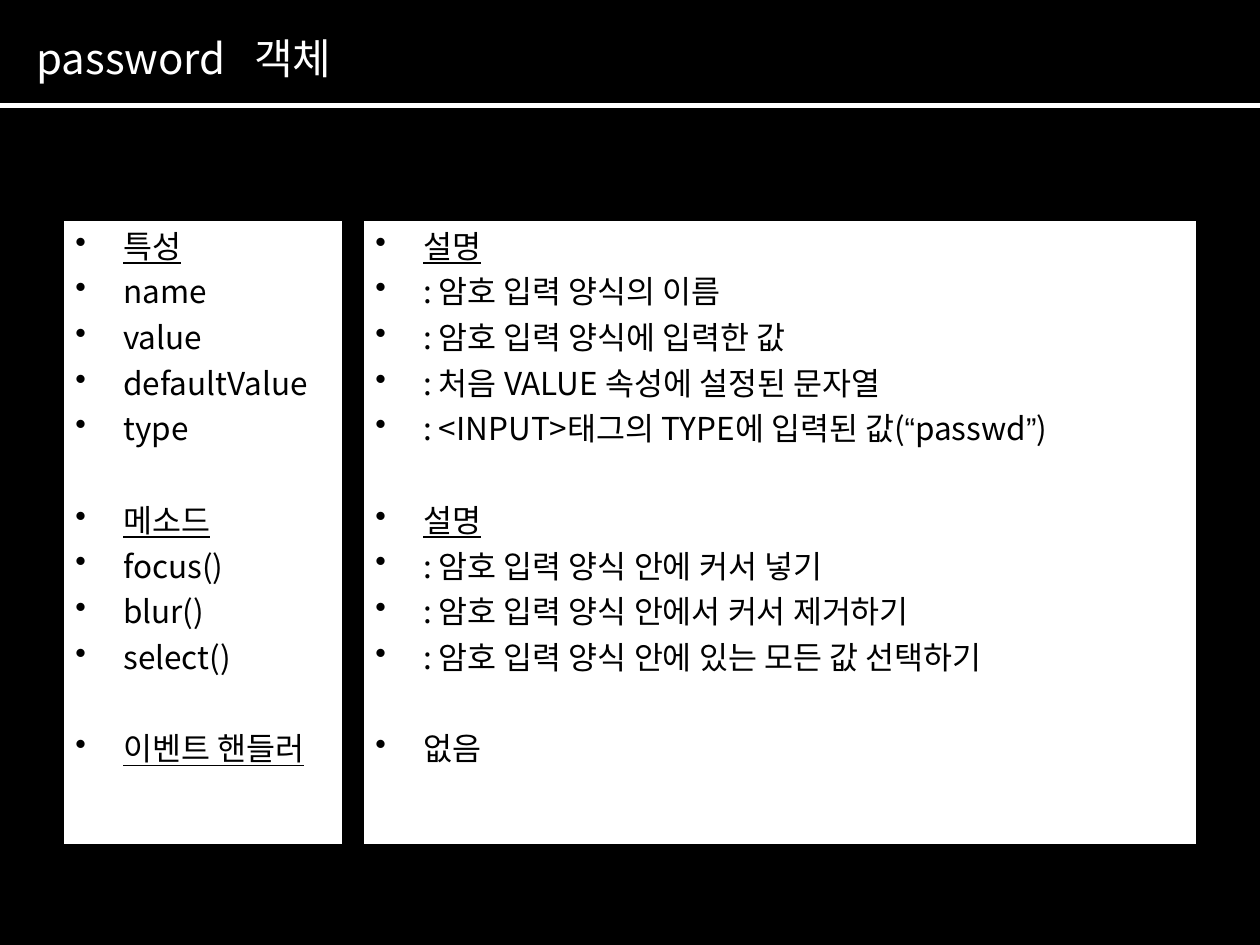
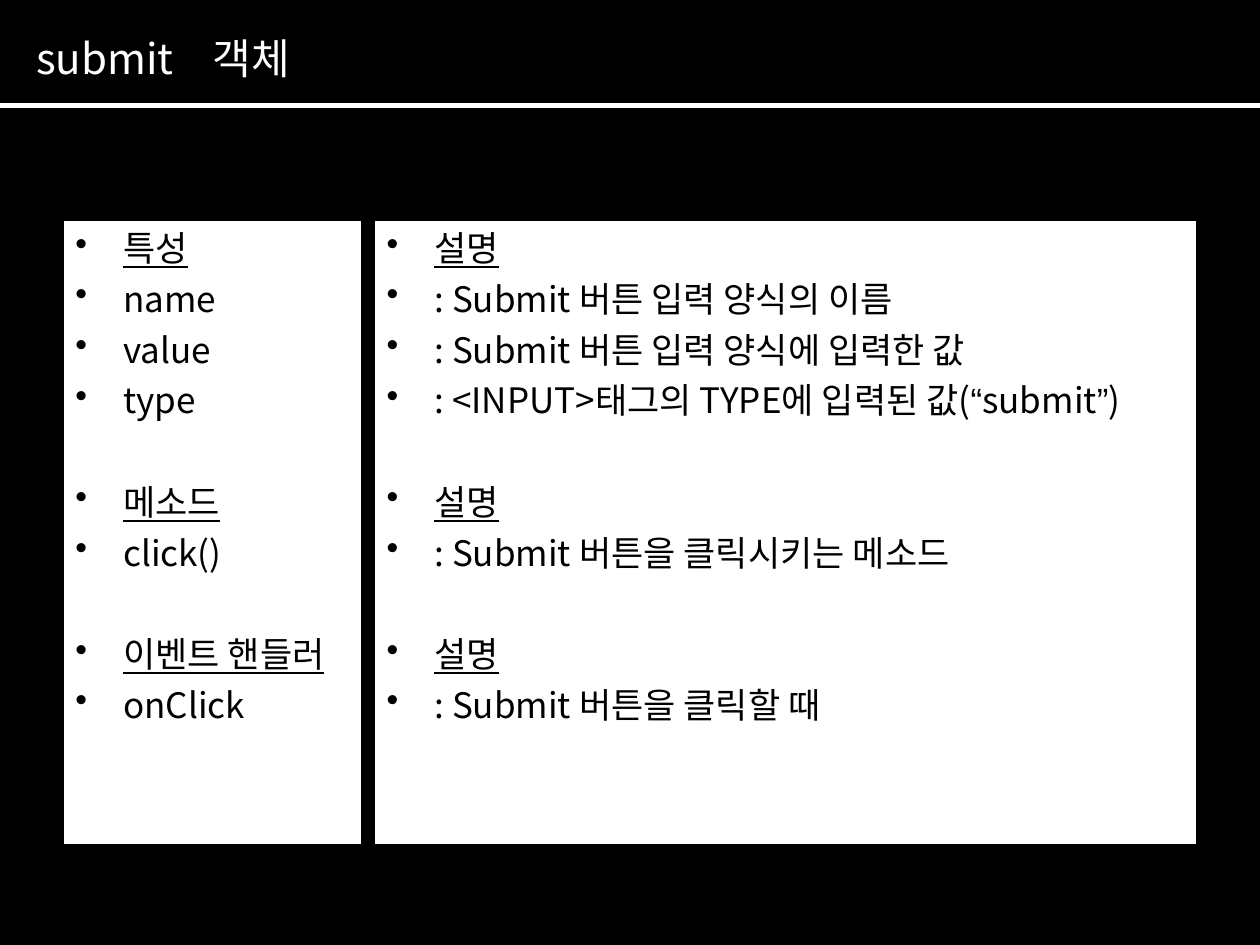
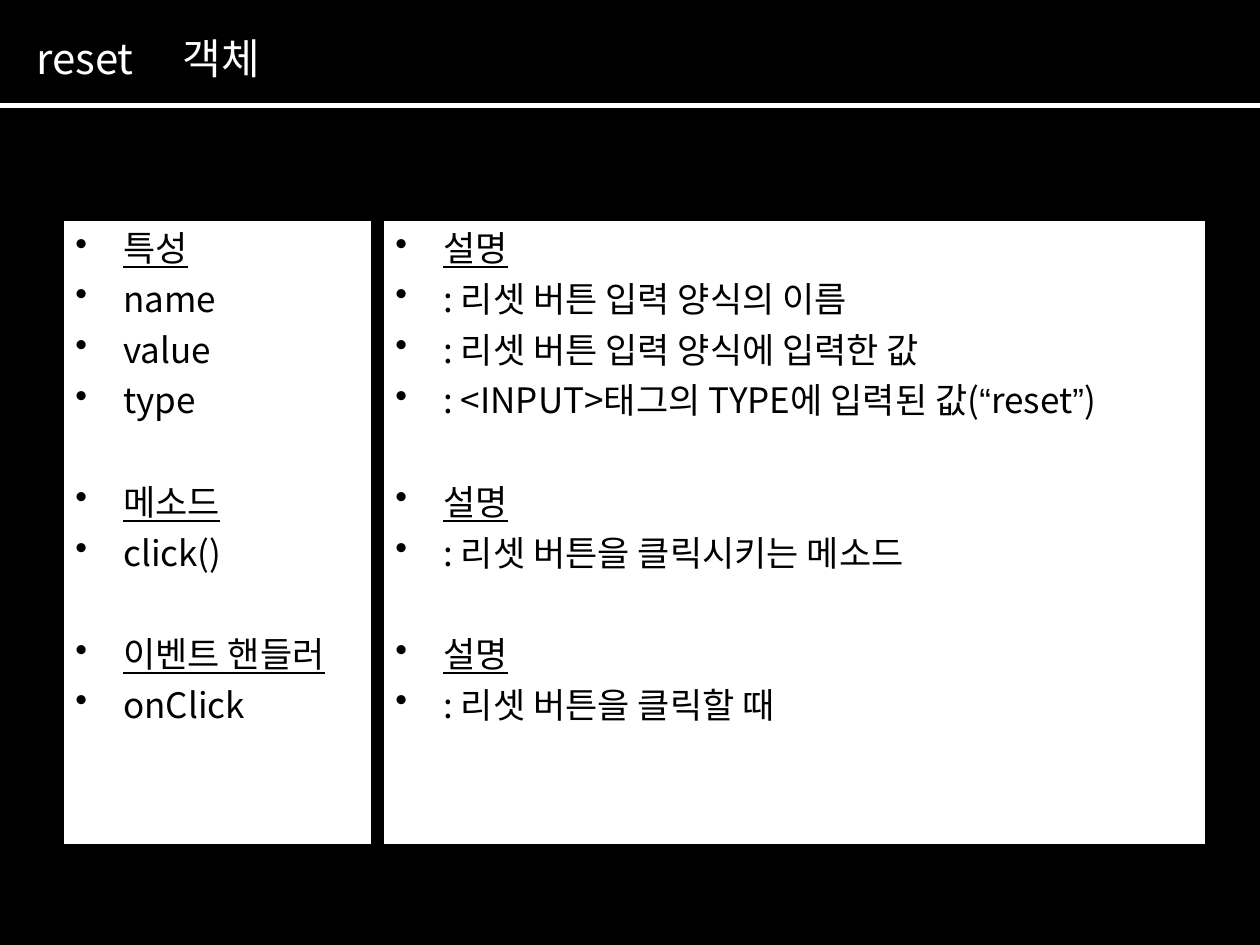
from lxml.etree import SubElement
from pptx import Presentation
from pptx.dml.color import RGBColor
from pptx.enum.shapes import MSO_CONNECTOR, MSO_SHAPE
from pptx.enum.text import MSO_ANCHOR, PP_ALIGN
from pptx.oxml.ns import qn
from pptx.util import Inches, Pt

BLACK = RGBColor(0x00, 0x00, 0x00)
WHITE = RGBColor(0xFF, 0xFF, 0xFF)
FONT = "Noto Sans CJK KR"
QUOTE_FONT = "Arial"
QUOTES = "“”"
LINE_HEIGHT = 1.2
INDENT = Inches(0.38)
PANEL_LEFT, PANEL_TOP, PANEL_HEIGHT = 0.5, 1.75, 4.95
HEADINGS = ("특성", "메소드", "이벤트 핸들러", "설명")

SLIDES = [
    {
        "title": "password\t객체",
        "title_tab": 1.73,
        "size": 18,
        "widths": (2.22, 6.62),
        "gap": 0.16,
        "groups": [
            [
                ("특성", "설명"),
                ("name", ": 암호 입력 양식의 이름"),
                ("value", ": 암호 입력 양식에 입력한 값"),
                ("defaultValue", ": 처음 VALUE 속성에 설정된 문자열"),
                ("type", ": <INPUT>태그의 TYPE에 입력된 값(“passwd”)"),
            ],
            [
                ("메소드", "설명"),
                ("focus()", ": 암호 입력 양식 안에 커서 넣기"),
                ("blur()", ": 암호 입력 양식 안에서 커서 제거하기"),
                ("select()", ": 암호 입력 양식 안에 있는 모든 값 선택하기"),
            ],
            [("이벤트 핸들러", "없음")],
        ],
    },
    {
        "title": "submit\t객체",
        "title_tab": 1.4,
        "size": 20,
        "widths": (2.37, 6.53),
        "gap": 0.1,
        "groups": [
            [
                ("특성", "설명"),
                ("name", ": Submit 버튼 입력 양식의 이름"),
                ("value", ": Submit 버튼 입력 양식에 입력한 값"),
                ("type", ": <INPUT>태그의 TYPE에 입력된 값(“submit”)"),
            ],
            [("메소드", "설명"), ("click()", ": Submit 버튼을 클릭시키는 메소드")],
            [("이벤트 핸들러", "설명"), ("onClick", ": Submit 버튼을 클릭할 때")],
        ],
    },
    {
        "title": "reset\t객체",
        "title_tab": 1.16,
        "size": 20,
        "widths": (2.45, 6.53),
        "gap": 0.09,
        "groups": [
            [
                ("특성", "설명"),
                ("name", ": 리셋 버튼 입력 양식의 이름"),
                ("value", ": 리셋 버튼 입력 양식에 입력한 값"),
                ("type", ": <INPUT>태그의 TYPE에 입력된 값(“reset”)"),
            ],
            [("메소드", "설명"), ("click()", ": 리셋 버튼을 클릭시키는 메소드")],
            [("이벤트 핸들러", "설명"), ("onClick", ": 리셋 버튼을 클릭할 때")],
        ],
    },
]


def set_typeface(font, properties, name):
    font.name = name
    SubElement(properties, qn("a:ea")).set("typeface", name)


def style_paragraph(paragraph, size, color):
    font = paragraph.font
    font.size = Pt(size)
    font.color.rgb = color
    set_typeface(font, paragraph._p.pPr.find(qn("a:defRPr")), FONT)


def add_rectangle(slide, left, top, width, height, color):
    shape = slide.shapes.add_shape(
        MSO_SHAPE.RECTANGLE, Inches(left), Inches(top), Inches(width), Inches(height))
    shape.shadow.inherit = False
    shape.fill.solid()
    shape.fill.fore_color.rgb = color
    shape.line.color.rgb = BLACK
    shape.line.width = Pt(0.75)
    return shape


def add_rule(slide, start, top=0.84, length=10):
    rule = slide.shapes.add_connector(
        MSO_CONNECTOR.STRAIGHT, Inches(start), Inches(top), Inches(start + length), Inches(top))
    rule.line.color.rgb = WHITE
    rule.line.width = Pt(3)
    SubElement(rule._element.spPr, qn("a:effectLst"))


def add_title(slide, text, tab):
    box = slide.shapes.add_textbox(Inches(0.19), Inches(0.21), Inches(7.64), Inches(0.5))
    box.text_frame.word_wrap = True
    paragraph = box.text_frame.paragraphs[0]
    tabs = SubElement(paragraph._p.get_or_add_pPr(), qn("a:tabLst"))
    SubElement(tabs, qn("a:tab"), pos=str(Inches(tab)), algn="l")
    paragraph.add_run().text = text
    style_paragraph(paragraph, 24, WHITE)


def add_bullet(paragraph):
    properties = paragraph._p.get_or_add_pPr()
    properties.set("marL", str(INDENT))
    properties.set("indent", str(-INDENT))
    color = SubElement(properties, qn("a:buClr"))
    SubElement(color, qn("a:srgbClr"), val=str(BLACK))
    SubElement(properties, qn("a:buChar"), char="•")


def add_text(paragraph, text):
    for quote in QUOTES:
        text = text.replace(quote, f"\n{quote}\n")
    for part in text.split("\n"):
        run = paragraph.add_run()
        run.text = part
        if part in QUOTES:
            set_typeface(run.font, run._r.get_or_add_rPr(), QUOTE_FONT)


def add_panel(slide, left, width, groups, size):
    frame = add_rectangle(slide, left, PANEL_TOP, width, PANEL_HEIGHT, WHITE).text_frame
    frame.word_wrap = True
    frame.vertical_anchor = MSO_ANCHOR.TOP
    spacing = size / 4
    group_spacing = size * LINE_HEIGHT + 2 * spacing
    paragraph = frame.paragraphs[0]
    for group_index, group in enumerate(groups):
        for row_index, text in enumerate(group):
            if group_index or row_index:
                paragraph = frame.add_paragraph()
                paragraph.space_before = Pt(spacing if row_index else group_spacing)
            paragraph.alignment = PP_ALIGN.LEFT
            add_bullet(paragraph)
            add_text(paragraph, text)
            style_paragraph(paragraph, size, BLACK)
            paragraph.font.underline = text in HEADINGS


def add_object_slide(presentation, content):
    slide = presentation.slides.add_slide(presentation.slide_layouts[6])
    slide.background.fill.solid()
    slide.background.fill.fore_color.rgb = BLACK
    add_rectangle(slide, -0.04, -0.03, 10, 7.5, BLACK)
    add_rule(slide, 0)
    add_title(slide, content["title"], content["title_tab"])
    add_rule(slide, -0.04)
    left = PANEL_LEFT
    for column, width in enumerate(content["widths"]):
        groups = [[row[column] for row in group] for group in content["groups"]]
        add_panel(slide, left, width, groups, content["size"])
        left += width + content["gap"]


def main():
    presentation = Presentation()
    presentation.slide_width = Inches(10)
    presentation.slide_height = Inches(7.5)
    for content in SLIDES:
        add_object_slide(presentation, content)
    presentation.save("out.pptx")


if __name__ == "__main__":
    main()
